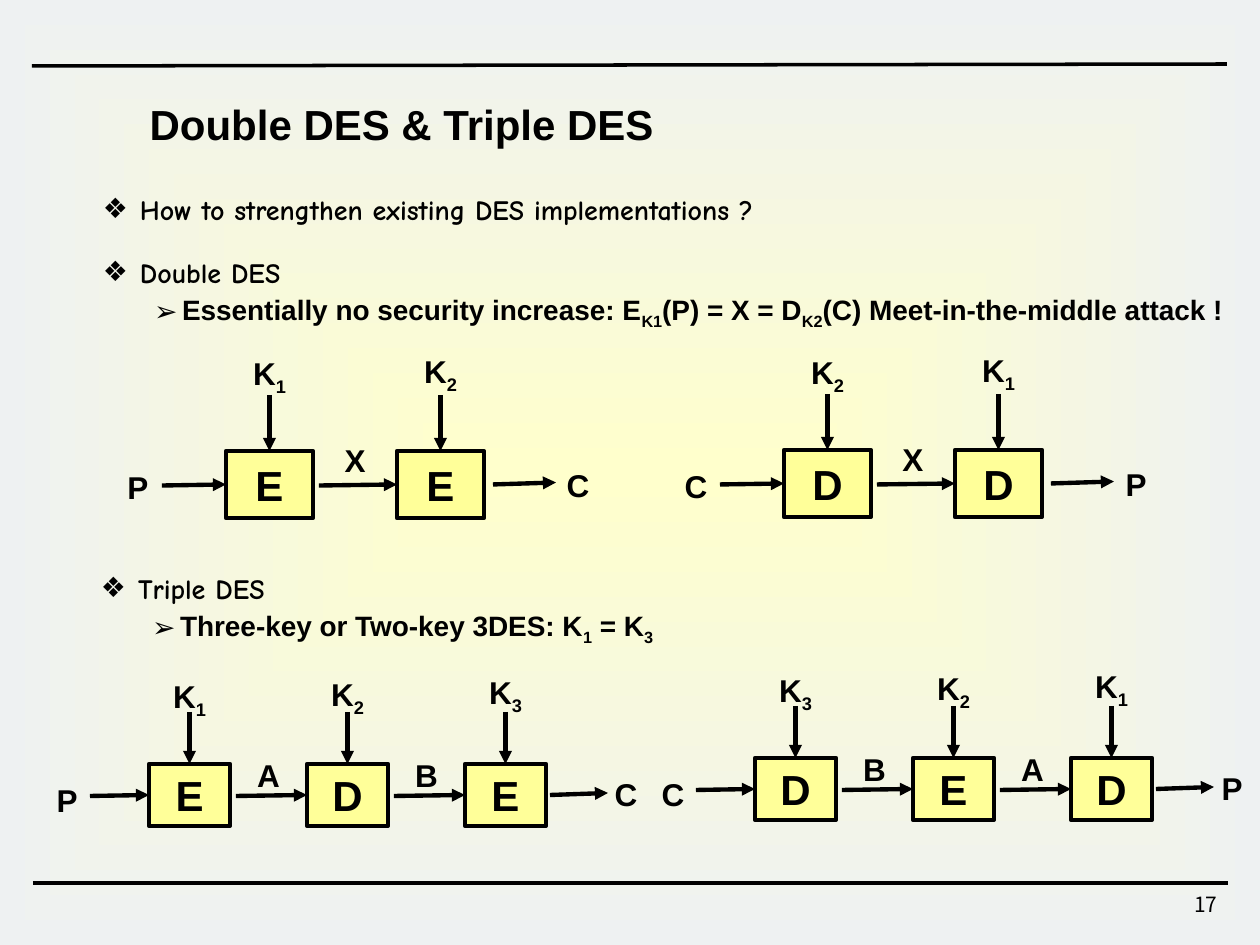
from dataclasses import dataclass

from lxml import etree
from pptx import Presentation
from pptx import util as u
from pptx.dml.color import RGBColor
from pptx.enum import shapes, text
from pptx.oxml.ns import qn

PX = 914400 / 126


@dataclass(frozen=True)
class Theme:
    ink: RGBColor = RGBColor(0, 0, 0)
    block: RGBColor = RGBColor(0xFF, 0xFF, 0x99)
    glow: RGBColor = RGBColor(0xFF, 0xFF, 0xCC)
    edge: RGBColor = RGBColor(0xEE, 0xF1, 0xF2)
    sans: str = "Arial"
    casual: str = "Comic Neue"
    number: str = "Noto Sans CJK KR"
    heading: int = 24
    label: int = 18
    body: int = 16
    small: int = 12
    rule: float = 2
    stroke: float = 2.5


@dataclass(frozen=True)
class Metrics:
    width: int
    height: int
    pitch: int
    key_label: int
    key_arrow: int
    link_label: int
    in_label: int
    in_arrow: int
    out_start: int
    out_end: int
    out_label: int
    out_top: int


@dataclass(frozen=True)
class Chain:
    left: int
    top: int
    size: Metrics
    source: str
    ciphers: str
    keys: str
    links: str
    result: str


@dataclass(frozen=True)
class Bullet:
    words: str
    sub: bool = False
    before: int = 0


THEME = Theme()
DOUBLE = Metrics(87, 67, 171, 97, 56, 10, 88, 64, 9, 72, 94, 15)
TRIPLE = Metrics(81, 62, 158, 87, 52, 8, 82, 59, 4, 62, 80, 11)
CHAINS = [
    Chain(226, 451, DOUBLE, "P", "EE", "12", "X", "C"),
    Chain(784, 450, DOUBLE, "C", "DD", "21", "X", "P"),
    Chain(149, 764, TRIPLE, "P", "EDE", "123", "AB", "C"),
    Chain(755, 758, TRIPLE, "C", "DED", "321", "BA", "P"),
]
DOUBLE_NOTES = [
    Bullet("How to strengthen existing DES implementations ?"),
    Bullet("Double DES", before=15),
    Bullet("Essentially no security increase: E|K1|(P) = X = D|K2|(C) "
           "Meet-in-the-middle attack !", sub=True),
]
TRIPLE_NOTES = [
    Bullet("Triple DES"),
    Bullet("Three-key or Two-key 3DES: K|1| = K|3", sub=True),
]


def px(*lengths: float) -> list[u.Emu]:
    return [u.Emu(round(length * PX)) for length in lengths]


def write(paragraph, words: str, size: int, face: str = THEME.sans,
          bold: bool = True) -> None:
    font = paragraph.font
    font.name, font.size, font.bold = face, u.Pt(size), bold
    font.color.rgb = THEME.ink
    for position, part in enumerate(words.split("|")):
        if part:
            run = paragraph.add_run()
            run.text = part
            if position % 2:
                run.font._element.set("baseline", "-25000")


def clear_margins(frame) -> None:
    frame.margin_left = frame.margin_right = 0
    frame.margin_top = frame.margin_bottom = 0


def add_label(slide, center: float, top: float, words: str) -> None:
    label = slide.shapes.add_textbox(*px(center - 17, top, 34, 38))
    frame = label.text_frame
    clear_margins(frame)
    frame.word_wrap = False
    frame.paragraphs[0].alignment = text.PP_ALIGN.CENTER
    write(frame.paragraphs[0], words, THEME.label)


def add_line(slide, x1: float, y1: float, x2: float, y2: float,
             weight: float = THEME.stroke, arrow: bool = True):
    line = slide.shapes.add_connector(shapes.MSO_CONNECTOR.STRAIGHT, *px(x1, y1, x2, y2))
    line.line.color.rgb = THEME.ink
    line.line.width = u.Pt(weight)
    if arrow:
        etree.SubElement(line.line._get_or_add_ln(), qn("a:tailEnd"), type="triangle")
    etree.SubElement(line._element.spPr, qn("a:effectLst"))
    return line


def add_cipher(slide, left: int, top: int, size: Metrics, letter: str):
    cipher = slide.shapes.add_shape(shapes.MSO_SHAPE.RECTANGLE,
                                    *px(left, top, size.width, size.height))
    cipher.shadow.inherit = False
    cipher.fill.solid()
    cipher.fill.fore_color.rgb = THEME.block
    cipher.line.color.rgb = THEME.ink
    cipher.line.width = u.Pt(THEME.stroke)
    frame = cipher.text_frame
    clear_margins(frame)
    frame.vertical_anchor = text.MSO_ANCHOR.MIDDLE
    frame.paragraphs[0].alignment = text.PP_ALIGN.CENTER
    write(frame.paragraphs[0], letter, THEME.heading)
    return cipher


def add_chain(slide, chain: Chain) -> None:
    size, top = chain.size, chain.top
    middle = top + size.height / 2
    add_label(slide, chain.left - size.in_label, top + 17, chain.source)
    for stage, (letter, key) in enumerate(zip(chain.ciphers, chain.keys)):
        left = chain.left + stage * size.pitch
        center = left + size.width / 2
        gap = size.pitch - size.width
        cipher = add_cipher(slide, left, top, size, letter)
        add_label(slide, center, top - size.key_label - 2 * stage, f"K|{key}")
        key_arrow = add_line(slide, center, top - size.key_arrow, center, top)
        key_arrow.end_connect(cipher, 0)
        start = left - gap + 6 if stage else left - size.in_arrow
        feed = add_line(slide, start, middle + 1, left, middle)
        feed.end_connect(cipher, 1)
        if stage:
            add_label(slide, left - gap / 2, top - size.link_label, chain.links[stage - 1])
    right = left + size.width
    add_line(slide, right + size.out_start, middle, right + size.out_end, middle - 2)
    add_label(slide, right + size.out_label, top + size.out_top, chain.result)


def fill_notes(body, bounds: tuple[int, ...], notes: list[Bullet]) -> None:
    body.left, body.top, body.width, body.height = px(*bounds)
    frame = body.text_frame
    clear_margins(frame)
    frame.auto_size = text.MSO_AUTO_SIZE.NONE
    frame.vertical_anchor = text.MSO_ANCHOR.TOP
    for position, note in enumerate(notes):
        paragraph = frame.add_paragraph() if position else frame.paragraphs[0]
        paragraph.level = int(note.sub)
        paragraph.line_spacing = 1.1
        paragraph.space_before = u.Pt(note.before)
        margin, hanging = px(79, -28) if note.sub else px(37, -37)
        properties = paragraph._p.get_or_add_pPr()
        properties.set("marL", str(margin))
        properties.set("indent", str(hanging))
        etree.SubElement(properties, qn("a:buChar"), char="➢" if note.sub else "❖")
        write(paragraph, note.words, THEME.body, THEME.sans if note.sub else THEME.casual)


def add_backdrop(slide) -> None:
    backdrop = slide.shapes.add_shape(shapes.MSO_SHAPE.RECTANGLE, *px(0, 0, 1260, 945))
    backdrop.shadow.inherit = False
    backdrop.line.fill.background()
    backdrop.fill.gradient()
    for stop, color in zip(backdrop.fill.gradient_stops, (THEME.glow, THEME.edge)):
        stop.color.rgb = color
    first, last = backdrop.fill.gradient_stops
    first.position, last.position = 0, 1
    gradient = backdrop._element.spPr.find(qn("a:gradFill"))
    gradient.remove(gradient.find(qn("a:lin")))
    spread = etree.SubElement(gradient, qn("a:path"), path="shape")
    etree.SubElement(spread, qn("a:fillToRect"), l="50000", t="50000", r="50000", b="50000")
    slide.shapes._spTree.insert(2, backdrop._element)


def main() -> None:
    deck = Presentation()
    deck.slide_width, deck.slide_height = px(1260, 945)
    slide = deck.slides.add_slide(deck.slide_layouts[3])
    add_backdrop(slide)
    add_line(slide, 32, 66, 1227, 64, THEME.rule, arrow=False)
    add_line(slide, 33, 883, 1228, 883, THEME.rule, arrow=False)

    title = slide.shapes.title
    title.left, title.top, title.width, title.height = px(137, 92, 532, 63)
    heading = title.text_frame
    heading.word_wrap = False
    heading.auto_size = text.MSO_AUTO_SIZE.NONE
    heading.vertical_anchor = text.MSO_ANCHOR.TOP
    heading.paragraphs[0].alignment = text.PP_ALIGN.LEFT
    write(heading.paragraphs[0], "Double DES & Triple DES", THEME.heading)

    fill_notes(slide.placeholders[1], (103, 189, 1133, 139), DOUBLE_NOTES)
    fill_notes(slide.placeholders[2], (101, 568, 1045, 74), TRIPLE_NOTES)
    for chain in CHAINS:
        add_chain(slide, chain)

    page = slide.shapes.add_textbox(*px(968, 885, 262, 42)).text_frame
    page.word_wrap = True
    page.paragraphs[0].alignment = text.PP_ALIGN.RIGHT
    write(page.paragraphs[0], "17", THEME.small, THEME.number, bold=False)
    deck.save("out.pptx")


if __name__ == "__main__":
    main()
